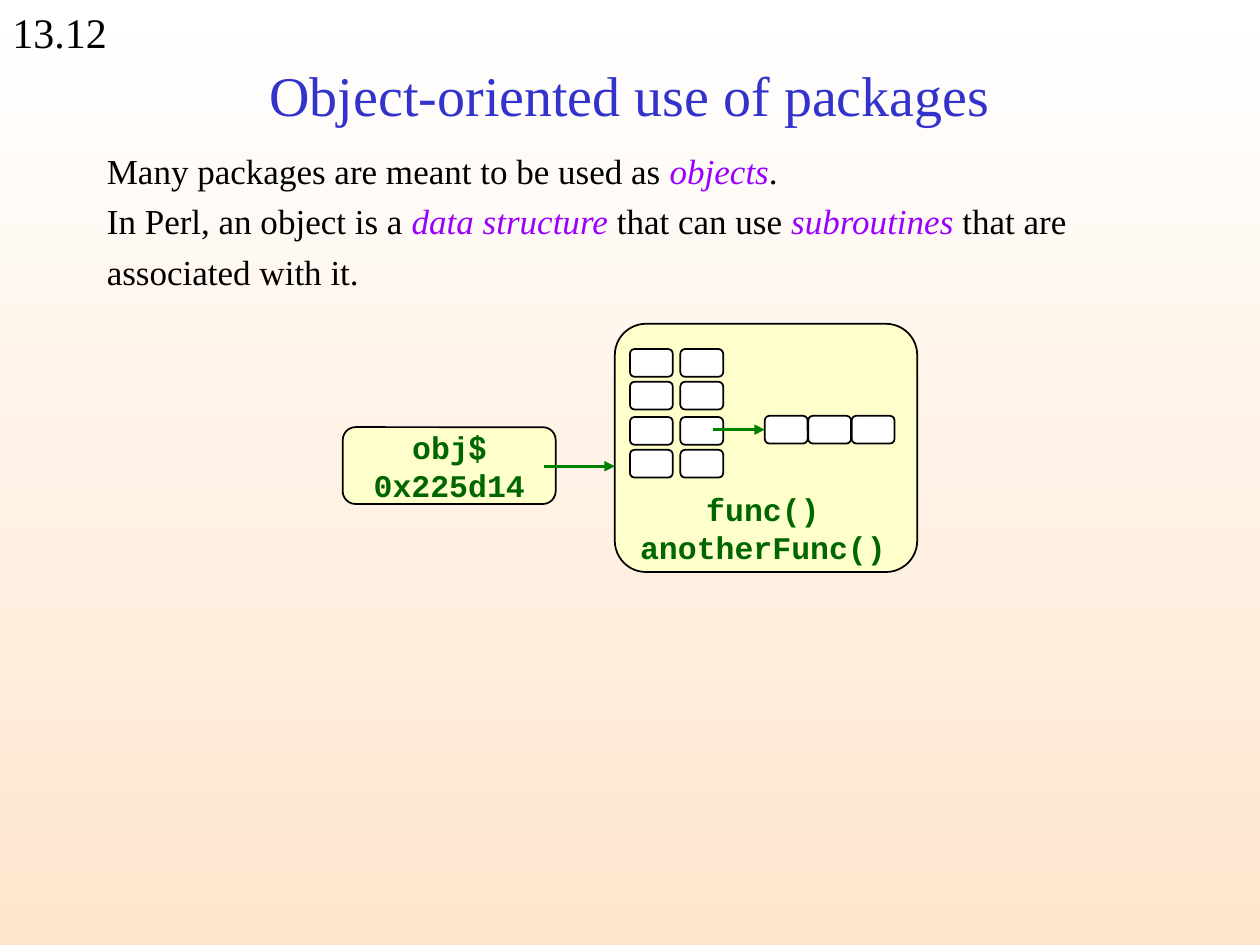
import pptx
import pptx.dml.color
import pptx.enum.shapes
import pptx.enum.text
import pptx.oxml
import pptx.oxml.ns
import pptx.util

Inches = pptx.util.Inches
Pt = pptx.util.Pt
Align = pptx.enum.text.PP_ALIGN
SERIF, MONO = "Times New Roman", "Courier New"
BLACK, BLUE, PURPLE = "000000", "3333CC", "9900FF"
GREEN, ARROW, CREAM, WHITE = "006600", "008000", "FFFFCC", "FFFFFF"


def color(code):
    return pptx.dml.color.RGBColor.from_string(code)


class Board:
    """Holds the current slide and draws each kind of element on it."""

    def __init__(self, slide):
        self.slide = slide

    def back(self, top, bottom):
        fill = self.slide.background.fill
        fill.gradient()
        fill.gradient_angle = 270
        for stop, code in zip(fill.gradient_stops, (top, bottom)):
            stop.color.rgb = color(code)

    def run(self, para, words, size, font=SERIF, code=BLACK, bold=False, italic=False):
        run = para.add_run()
        run.text = words
        run.font.name = font
        run.font.size = Pt(size)
        run.font.bold = bold
        run.font.italic = italic
        run.font.color.rgb = color(code)

    def title(self, words, x, y, w, h):
        head = self.slide.shapes.title
        head.left, head.top, head.width, head.height = map(Inches, (x, y, w, h))
        frame = head.text_frame
        frame.auto_size = pptx.enum.text.MSO_AUTO_SIZE.NONE
        frame.vertical_anchor = pptx.enum.text.MSO_ANCHOR.MIDDLE
        para = frame.paragraphs[0]
        para.alignment = Align.CENTER
        self.run(para, words, 32, code=BLUE)

    def text(self, x, y, w, h):
        """Add an empty wrapping text box and return its frame."""
        box = self.slide.shapes.add_textbox(*map(Inches, (x, y, w, h)))
        box.text_frame.word_wrap = True
        return box.text_frame

    def code(self, lines, x, y, w, h, rtl=False):
        para = self.text(x, y, w, h).paragraphs[0]
        para.alignment = Align.CENTER
        if rtl:
            para._p.get_or_add_pPr().set("rtl", "1")
        for i, line in enumerate(lines):
            if i:
                para.add_line_break()
            self.run(para, line, 18, MONO, GREEN, bold=True)

    def box(self, x, y, w, h, fill=WHITE, round=0.167):
        kind = pptx.enum.shapes.MSO_SHAPE.ROUNDED_RECTANGLE
        box = self.slide.shapes.add_shape(kind, *map(Inches, (x, y, w, h)))
        box.shadow.inherit = False
        box.adjustments[0] = round
        box.fill.solid()
        box.fill.fore_color.rgb = color(fill)
        box.line.color.rgb = color(BLACK)
        box.line.width = Pt(1)
        return box

    def arrow(self, x, y, end, goal=None):
        """Draw a level arrow from x to end, joined to the left side of goal."""
        kind = pptx.enum.shapes.MSO_CONNECTOR.STRAIGHT
        link = self.slide.shapes.add_connector(kind, *map(Inches, (x, y, end, y)))
        link.line.color.rgb = color(ARROW)
        link.line.width = Pt(1.5)
        tip = pptx.oxml.parse_xml(
            f'<a:tailEnd {pptx.oxml.ns.nsdecls("a")} type="triangle"/>')
        link.line._get_or_add_ln().append(tip)
        link._element.spPr.append(
            pptx.oxml.parse_xml(f'<a:effectLst {pptx.oxml.ns.nsdecls("a")}/>'))
        if goal is not None:
            link.end_connect(goal, 1)


def main():
    deck = pptx.Presentation()
    deck.slide_width, deck.slide_height = Inches(10), Inches(7.5)
    board = Board(deck.slides.add_slide(deck.slide_layouts[5]))
    board.back(WHITE, "FFE5CD")

    page = board.text(0, 0, 1.46, 0.5)
    board.run(page.paragraphs[0], "13.12", 24)
    board.title("Object-oriented use of packages", 0.75, 0.42, 8.5, 0.66)

    # Every second run is a highlighted term.
    body = [
        ["Many packages are meant to be used as ", "objects", "."],
        ["In Perl, an object is a ", "data structure", " that can use ",
         "subroutines", " that are associated with it."],
    ]
    frame = board.text(0.75, 1.07, 8.9, 4.06)
    for i, parts in enumerate(body):
        para = frame.add_paragraph() if i else frame.paragraphs[0]
        para.line_spacing = 1.2
        for j, words in enumerate(parts):
            term = j % 2 == 1
            board.run(para, words, 20, code=PURPLE if term else BLACK, italic=term)

    # Reference variable
    board.box(2.72, 3.39, 1.69, 0.61, CREAM)
    board.code(["$obj", "0x225d14"], 2.72, 3.35, 1.69, 0.7, rtl=True)
    board.arrow(4.32, 3.7, 4.88)

    # Object: a hash, an array held by one value, and the subroutines
    board.box(4.88, 2.57, 2.4, 1.97, CREAM, 0.126)
    board.code(["func()", "anotherFunc()"], 4.88, 3.84, 2.35, 0.7)
    wide, high = 0.34, 0.22
    for y in (2.77, 3.03, 3.31, 3.57):
        for x in (5, 5.4):
            board.box(x, y, wide, high)
    items = [board.box(6.07 + i * 0.345, 3.3, wide, high) for i in range(3)]
    board.arrow(5.66, 3.41, 6.07, items[0])

    deck.save("out.pptx")


if __name__ == "__main__":
    main()
